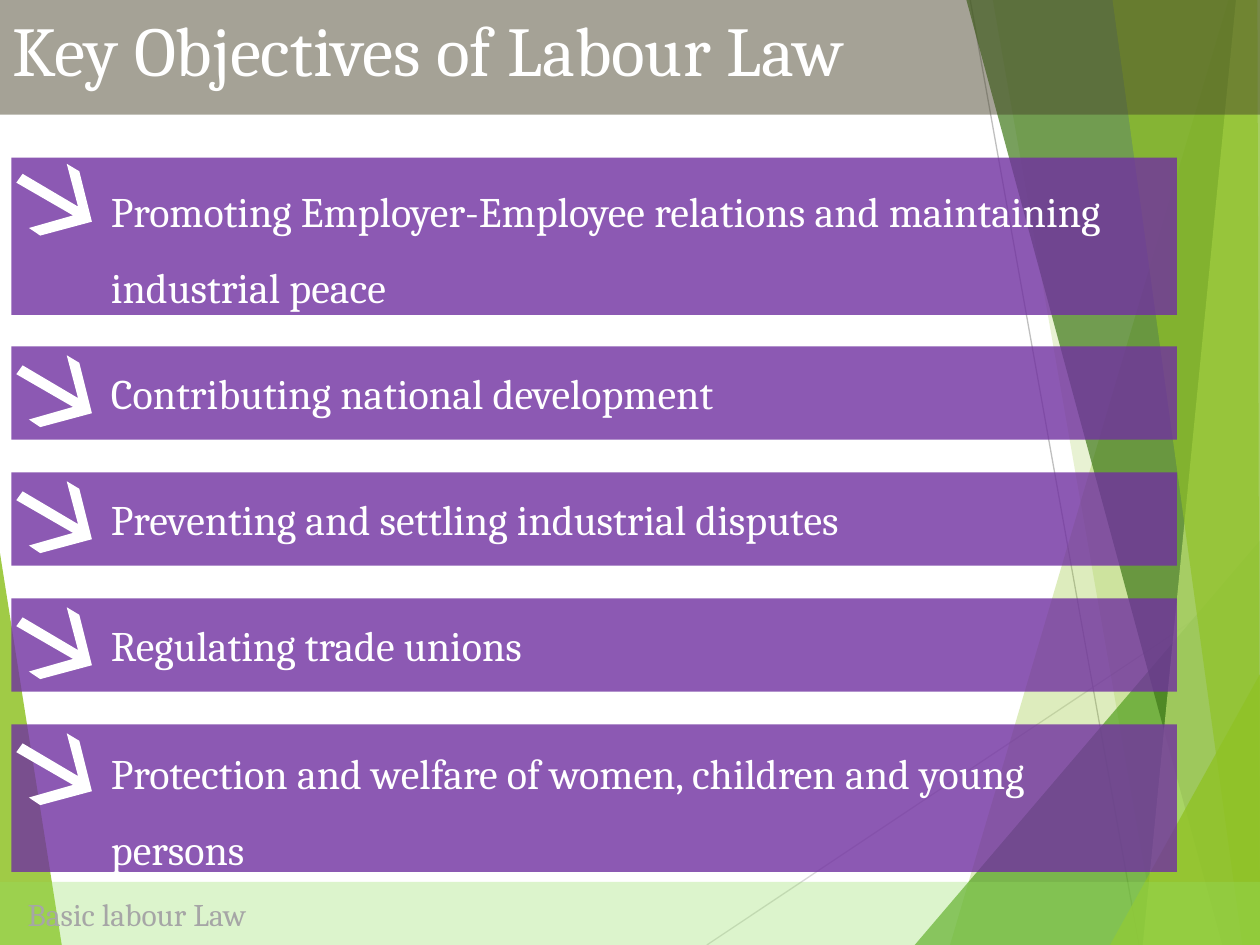
from dataclasses import dataclass

from lxml import etree
from pptx import Presentation
from pptx.dml.color import RGBColor
from pptx.enum.shapes import MSO_CONNECTOR, MSO_SHAPE
from pptx.enum.text import MSO_ANCHOR, PP_ALIGN
from pptx.oxml.ns import qn
from pptx.util import Inches, Pt

RECTANGLE = MSO_SHAPE.RECTANGLE
STRAIGHT = MSO_CONNECTOR.STRAIGHT
TOP, MIDDLE = MSO_ANCHOR.TOP, MSO_ANCHOR.MIDDLE
LEFT = PP_ALIGN.LEFT

COLUMNS, ROWS = 1000, 750
CELL = Inches(0.01)


@dataclass(frozen=True)
class Theme:
    font: str = "Cambria"
    title_size: int = 40
    body_size: int = 24
    footer_size: int = 18
    white: str = "FFFFFF"
    footer_text: str = "A6A6A6"
    title_band: str = "48432A"
    bar: str = "7030A0"
    footer_band: str = "94DE61"
    lime: str = "90C226"
    leaf: str = "54A021"
    forest: str = "3F7819"
    pale: str = "C0E474"
    light_line: str = "D9D9D9"
    dark_line: str = "BFBFBF"
    hairline: float = 0.75


@dataclass(frozen=True)
class Box:
    left: int
    top: int
    width: int
    height: int


@dataclass(frozen=True)
class Objective:
    text: str
    top: int
    height: int = 74
    spacing: float = 1.0
    arrow_drop: int = 7


THEME = Theme()

FACET_LINES = [
    ((561, 750), (1000, 457), THEME.light_line),
    ((770, 0), (904, 750), THEME.dark_line),
]
FACETS = [
    ([(0, 439), (49, 750), (0, 750)], THEME.lime, 85),
    ([(975, 0), (754, 750), (1000, 750), (1000, 0)], THEME.lime, 30),
    ([(788, 0), (919, 750), (1000, 750), (1000, 0)], THEME.lime, 20),
    ([(726, 750), (1000, 429), (1000, 750)], THEME.leaf, 72),
    ([(767, 0), (970, 750), (1000, 750), (1000, 0)], THEME.forest, 70),
    ([(981, 0), (907, 750), (1000, 750), (1000, 0)], THEME.pale, 70),
    ([(883, 0), (986, 750), (1000, 750), (998, 0)], THEME.lime, 65),
    ([(881, 750), (1000, 535), (1000, 750)], THEME.lime, 80),
]
ARROW = [(23, 57), (14, 51), (49, 41), (4, 15), (9, 8),
         (53, 34), (44, 0), (54, 6), (64, 46)]
OBJECTIVES = [
    Objective("Promoting Employer-Employee relations and maintaining industrial peace",
              125, 125, 1.5, 5),
    Objective("Contributing national development", 275),
    Objective("Preventing and settling industrial disputes", 375),
    Objective("Regulating trade unions", 475),
    Objective("Protection and welfare of women, children and young persons",
              575, 117, 1.5),
]


def paint(shape, color, opacity=100):
    shape.shadow.inherit = False
    shape.line.fill.background()
    shape.fill.solid()
    shape.fill.fore_color.rgb = RGBColor.from_string(color)
    if opacity < 100:
        tint = shape.fill._xPr.find(qn("a:solidFill"))[0]
        etree.SubElement(tint, qn("a:alpha")).set("val", str(opacity * 1000))


def add_polygon(page, points, color, opacity=100):
    builder = page.shapes.build_freeform(*points[0], scale=CELL)
    builder.add_line_segments(points[1:], close=True)
    paint(builder.convert_to_shape(), color, opacity)


def add_line(page, start, end, color):
    line = page.shapes.add_connector(
        STRAIGHT, *(CELL * value for value in (*start, *end)))
    line.line.color.rgb = RGBColor.from_string(color)
    line.line.width = Pt(THEME.hairline)
    etree.SubElement(line._element.spPr, qn("a:effectLst"))


def add_band(page, box, text, fill, opacity, size, color=THEME.white,
             indent=10, anchor=MIDDLE, spacing=1.0):
    band = page.shapes.add_shape(
        RECTANGLE, CELL * box.left, CELL * box.top,
        CELL * box.width, CELL * box.height)
    paint(band, fill, opacity)
    frame = band.text_frame
    frame.word_wrap = True
    frame.vertical_anchor = anchor
    frame.margin_left, frame.margin_right = CELL * indent, CELL * 10
    frame.margin_top = frame.margin_bottom = CELL * 5
    frame.text = text
    para = frame.paragraphs[0]
    para.alignment = LEFT
    para.line_spacing = spacing
    span = para.runs[0]
    span.font.name = THEME.font
    span.font.size = Pt(size)
    span.font.color.rgb = RGBColor.from_string(color)


def add_backdrop(page):
    add_polygon(page, *FACETS[0])
    for start, end, color in FACET_LINES:
        add_line(page, start, end, color)
    for facet in FACETS[1:]:
        add_polygon(page, *facet)


def add_title(page, box):
    add_band(page, box, "Key Objectives of Labour Law", THEME.title_band, 49,
             THEME.title_size, anchor=TOP)


def add_objective(page, box, objective):
    add_band(page, box, objective.text, THEME.bar, 80, THEME.body_size,
             indent=79, spacing=objective.spacing)
    arrow = [(box.left + column, box.top + objective.arrow_drop + row)
             for column, row in ARROW]
    add_polygon(page, arrow, THEME.white)


def add_footer(page, box):
    add_band(page, box, "Basic labour Law", THEME.footer_band, 32,
             THEME.footer_size, THEME.footer_text, indent=22)


def main():
    deck = Presentation()
    deck.slide_width, deck.slide_height = CELL * COLUMNS, CELL * ROWS
    page = deck.slides.add_slide(deck.slide_layouts[6])
    add_backdrop(page)
    add_title(page, Box(0, 0, COLUMNS, 91))
    for objective in OBJECTIVES:
        add_objective(page, Box(9, objective.top, 925, objective.height), objective)
    add_footer(page, Box(0, 700, COLUMNS, 50))
    deck.save("out.pptx")


if __name__ == "__main__":
    main()
